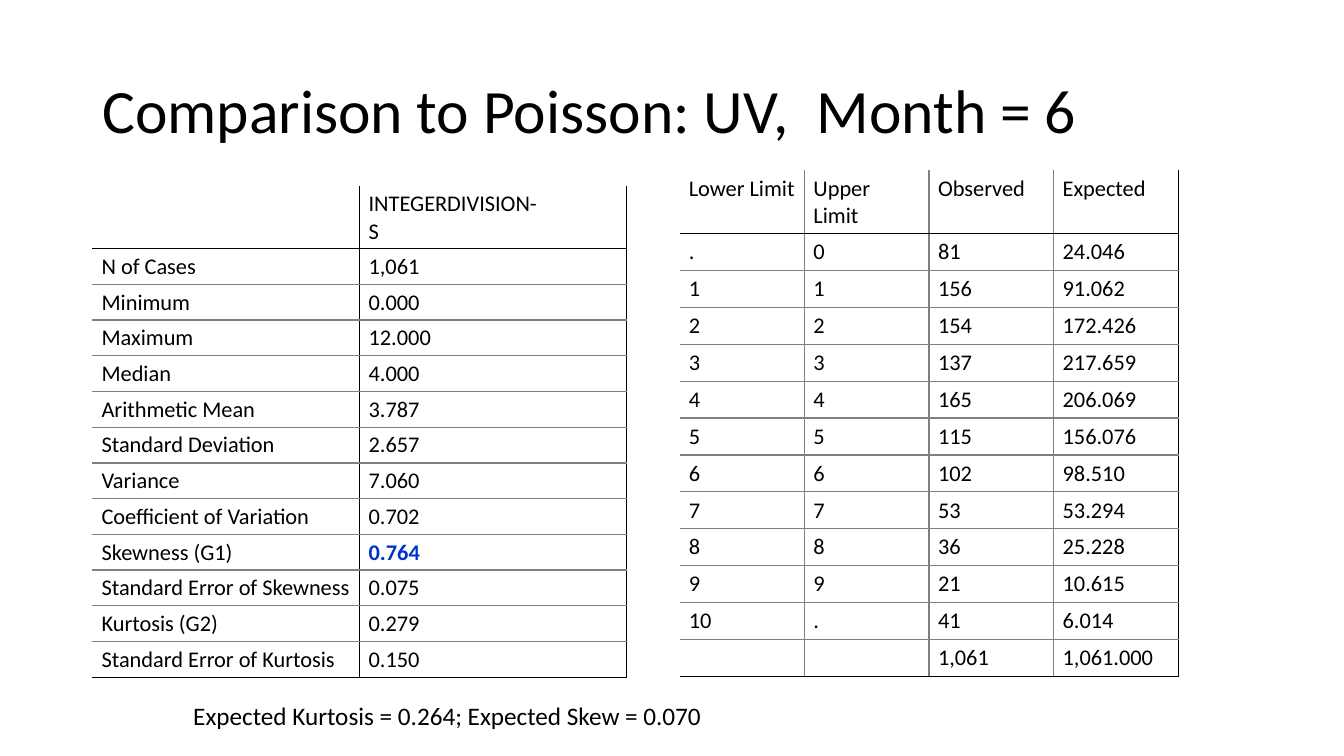
"""Build a slide comparing observed counts with a Poisson distribution."""
from lxml import etree
from pptx import Presentation
from pptx import util as u
from pptx.dml.color import RGBColor
from pptx.enum import text
from pptx.oxml.ns import qn

BLACK = RGBColor(0x00, 0x00, 0x00)
GREY = RGBColor(0x80, 0x80, 0x80)
BLUE = RGBColor(0x00, 0x33, 0xCC)
FONT = "Calibri"

STATISTICS = [
    ("", "INTEGERDIVISION-\vS"),
    ("N of Cases", "1,061"),
    ("Minimum", "0.000"),
    ("Maximum", "12.000"),
    ("Median", "4.000"),
    ("Arithmetic Mean", "3.787"),
    ("Standard Deviation", "2.657"),
    ("Variance", "7.060"),
    ("Coefficient of Variation", "0.702"),
    ("Skewness (G1)", "0.764"),
    ("Standard Error of Skewness", "0.075"),
    ("Kurtosis (G2)", "0.279"),
    ("Standard Error of Kurtosis", "0.150"),
]
FREQUENCIES = [
    ("Lower Limit", "Upper Limit", "Observed", "Expected"),
    (".", "0", "81", "24.046"),
    ("1", "1", "156", "91.062"),
    ("2", "2", "154", "172.426"),
    ("3", "3", "137", "217.659"),
    ("4", "4", "165", "206.069"),
    ("5", "5", "115", "156.076"),
    ("6", "6", "102", "98.510"),
    ("7", "7", "53", "53.294"),
    ("8", "8", "36", "25.228"),
    ("9", "9", "21", "10.615"),
    ("10", ".", "41", "6.014"),
    ("", "", "1,061", "1,061.000"),
]
TABLES = [
    dict(rows=STATISTICS, left=2.33, top=4.69, column=6.73, header=1.55,
         row=0.9, margin=0.11, divider=BLACK),
    dict(rows=FREQUENCIES, left=17.13, top=4.29, column=3.14, header=0.93,
         row=0.93, margin=0.12, divider=GREY),
]
TEXTS = [
    dict(words="Comparison to Poisson: UV,  Month = 6", place=(2.33, 1.01, 29.21, 3.68),
         size=44, spacing=0.9, anchor=text.MSO_ANCHOR.MIDDLE, wrap=True),
    dict(words="Expected Kurtosis = 0.264; Expected Skew = 0.070", place=(4.62, 17.53, 13.46, 1.03),
         size=18, spacing=1.0, anchor=text.MSO_ANCHOR.TOP, wrap=False),
]


def style_font(font, **changes):
    """Apply the slide font, with any changes given."""
    values = dict(name=FONT, bold=False, size=u.Pt(16)) | changes
    color = values.pop("color", BLACK)
    for name, value in values.items():
        setattr(font, name, value)
    font.color.rgb = color


def set_borders(cell, colors):
    """Draw left, right, top and bottom borders, leaving out those without a colour."""
    properties = cell._tc.get_or_add_tcPr()
    for position, (side, color) in enumerate(zip("LRTB", colors)):
        line = etree.Element(qn(f"a:ln{side}"), w=str(u.Pt(1)))
        if color is None:
            etree.SubElement(line, qn("a:noFill"))
        else:
            fill = etree.SubElement(line, qn("a:solidFill"))
            etree.SubElement(fill, qn("a:srgbClr"), val=str(color))
        properties.insert(position, line)


deck = Presentation()
deck.slide_width, deck.slide_height = u.Cm(33.87), u.Cm(19.05)
page = deck.slides.add_slide(deck.slide_layouts[6])

for item in TEXTS:
    box = page.shapes.add_textbox(*map(u.Cm, item["place"]))
    frame = box.text_frame
    frame.word_wrap = item["wrap"]
    frame.vertical_anchor = item["anchor"]
    para = frame.paragraphs[0]
    para.line_spacing = item["spacing"]
    span = para.add_run()
    span.text = item["words"]
    style_font(span.font, size=u.Pt(item["size"]))

for item in TABLES:
    rows = item["rows"]
    last_row, last_column = len(rows) - 1, len(rows[0]) - 1
    heights = [item["header"]] + [item["row"]] * last_row
    table = page.shapes.add_table(
        len(rows), len(rows[0]), u.Cm(item["left"]), u.Cm(item["top"]),
        u.Cm(item["column"] * len(rows[0])), u.Cm(sum(heights))).table
    table.first_row = table.horz_banding = False
    for column in table.columns:
        column.width = u.Cm(item["column"])
    for r, (values, height) in enumerate(zip(rows, heights)):
        table.rows[r].height = u.Cm(height)
        for c, value in enumerate(values):
            cell = table.cell(r, c)
            cell.margin_left = cell.margin_right = u.Cm(0.23)
            cell.margin_top = cell.margin_bottom = u.Cm(item["margin"])
            cell.fill.background()
            set_borders(cell, (
                item["divider"] if c else None,
                BLACK if c == last_column else item["divider"],
                (None, BLACK, GREY)[min(r, 2)],
                BLACK if r in (0, last_row) else GREY))
            cell.text = value
            para = cell.text_frame.paragraphs[0]
            for span in para.runs:
                style_font(span.font)
            if not value:
                etree.SubElement(para._p, qn("a:endParaRPr"), sz="1600")
            if values[0] == "Skewness (G1)" and c == 1:
                style_font(para.runs[0].font, bold=True, color=BLUE)

deck.save("out.pptx")
